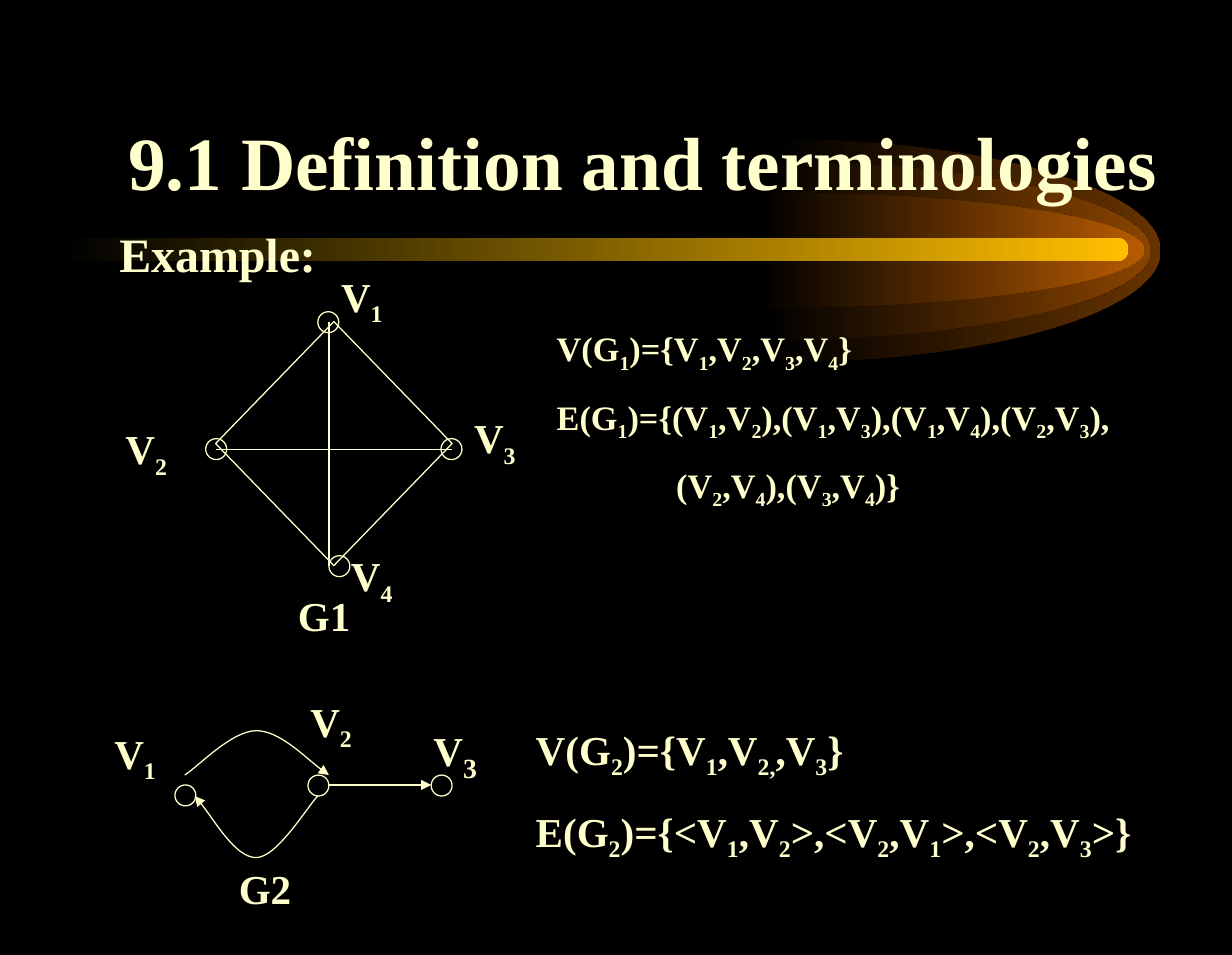
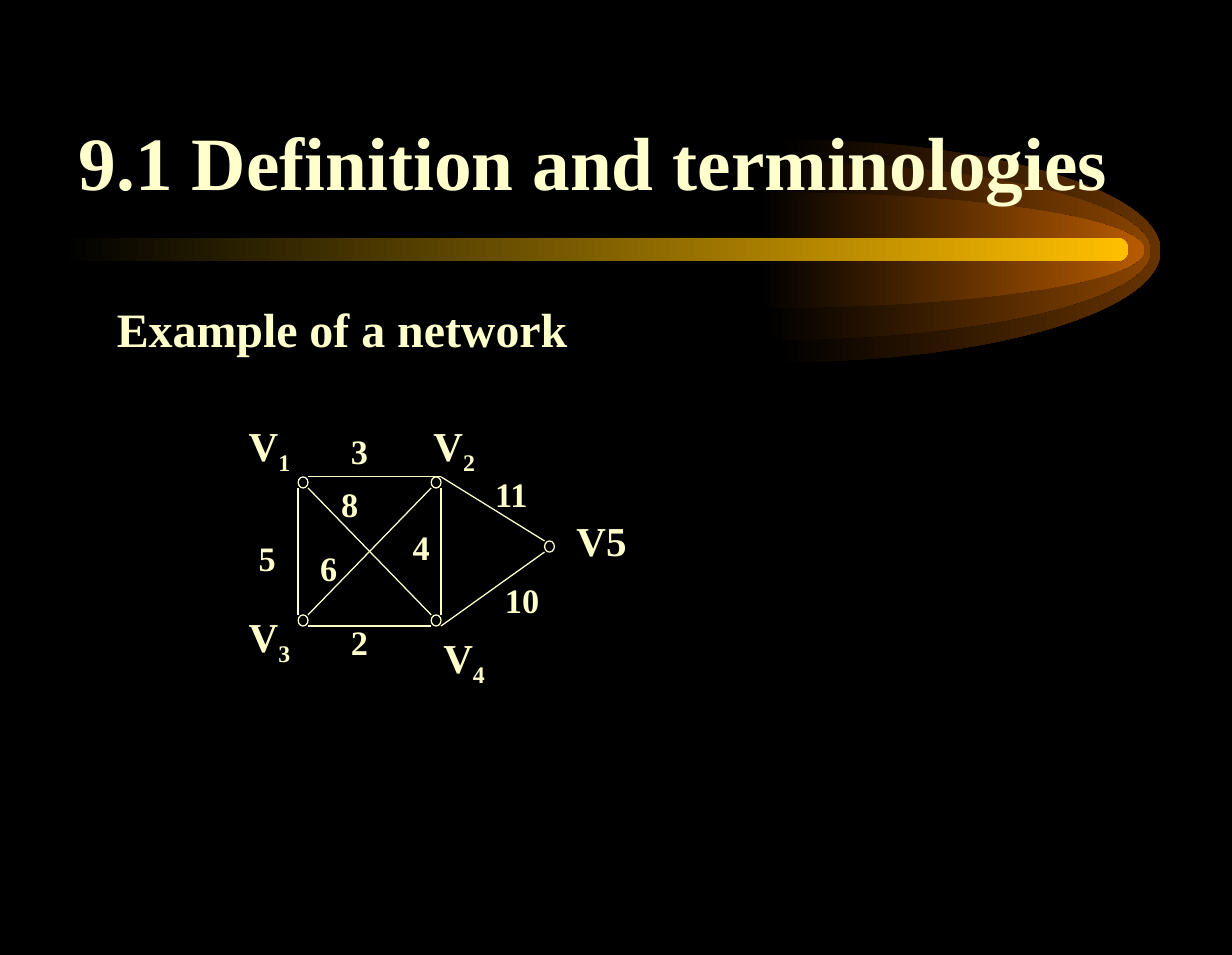
from itertools import product

from lxml.etree import SubElement
from pptx import Presentation
from pptx.dml.color import RGBColor
from pptx.enum.shapes import MSO_CONNECTOR, MSO_SHAPE
from pptx.enum.text import MSO_ANCHOR, MSO_AUTO_SIZE, PP_ALIGN
from pptx.oxml.ns import qn
from pptx.util import Inches, Pt

BLACK, CREAM, GOLD = "000000", "FFFFCC", "FFBF00"
FONT = "Times New Roman"
TITLE = "9.1 Definition and terminologies"

TAIL_LAYERS = [
    (6.29, 1.13, 1.81, "663300"),
    (6.21, 1.31, 1.45, "894400"),
    (6.16, 1.56, 0.94, "B75B00"),
]
TAIL_LENGTH = 3.13
ARC_HANDLE = 0.55
BAND = (0.5, 1.93, 8.66, 0.19)

GRAPHS = {
    "title": (0.75, 8.94),
    "heading": ("Example:", 1.72, 0.12),
    "diamonds": [(1.75, 2.61, 1.92, 1.98)],
    "node_size": (0.17, 0.17),
    "nodes": [(2.58, 2.53), (1.67, 3.56), (3.58, 3.56), (2.67, 4.51),
              (1.42, 6.37), (2.5, 6.29), (3.5, 6.29)],
    "edges": [(2.67, 2.61, 2.67, 4.59), (1.75, 3.65, 3.67, 3.65)],
    "arrows": [(2.67, 6.37, 3.5, 6.37)],
    "curves": [
        [(1.5, 6.29), (1.6, 6.23), (1.88, 5.93), (2.08, 5.93),
         (2.27, 5.93), (2.54, 6.21), (2.67, 6.29)],
        [(2.58, 6.46), (2.5, 6.54), (2.25, 6.96), (2.08, 6.96),
         (1.91, 6.96), (1.69, 6.57), (1.58, 6.46)],
    ],
    "vertices": [("V[2]", 0.92, 3.39, 0.83), ("V[4]", 2.75, 4.42, 1),
                 ("V[3]", 3.75, 3.3, 0.83), ("V[1]", 0.83, 5.86, 0.67),
                 ("V[2]", 2.42, 5.6, 0.58)],
    "unwrapped_vertices": [("V[1]", 2.67, 2.15, 0.54)],
    "large_index_vertices": [("V[3]", 3.42, 5.78, 0.75)],
    "graph_names": [("G1", 2.32, 4.74, 0.63), ("G2", 1.84, 6.96, 0.63)],
    "sets": [
        (4.42, 2.61, 5.25, 1.59, 20, [
            ("V(G[1])={V[1],V[2],V[3],V[4]}", 0),
            ("E(G[1])={(V[1],V[2]),(V[1],V[3]),(V[1],V[4]),(V[2],V[3]),", 0),
            ("(V[2],V[4]),(V[3],V[4])}", 0.97),
        ]),
        (4.25, 5.83, 5.42, 1.22, 24, [
            ("V(G[2])={V[1],V[2,],V[3]}", 0),
            ("E(G[2])={<V[1],V[2]>,<V[2],V[1]>,<V[2],V[3]>}", 0),
        ]),
    ],
}

NETWORK = {
    "title": (0.39, 8.86),
    "heading": ("Example of a network", 2.33, 0.1),
    "node_size": (0.08, 0.09),
    "nodes": [*product((2.42, 3.5), (3.87, 4.99)), (4.42, 4.39)],
    "edges": [
        (2.5, 3.87, 3.58, 3.87), (2.42, 3.96, 2.42, 4.99),
        (3.58, 3.96, 3.58, 4.99), (2.5, 5.08, 3.5, 5.08),
        (2.5, 3.96, 3.5, 4.99), (3.5, 3.96, 2.5, 4.99),
        (3.58, 3.87, 4.42, 4.39), (4.42, 4.48, 3.58, 5.08),
    ],
    "vertices": [("V[1]", 1.92, 3.36, 0.83), ("V[3]", 1.92, 4.91, 0.67),
                 ("V[2]", 3.42, 3.36, 0.75), ("V[4]", 3.5, 5.08, 0.67)],
    "plain_vertices": [("V5", 4.58, 4.13, 0.75)],
    "weights": [("5", 2, 4.31, 0.42), ("2", 2.75, 4.99, 0.58),
                ("3", 2.75, 3.44, 0.5), ("4", 3.25, 4.22, 0.58),
                ("8", 2.67, 3.87, 0.42), ("6", 2.5, 4.39, 0.42),
                ("11", 3.92, 3.79, 0.5), ("10", 4, 4.65, 0.58)],
}

LABEL_STYLES = {
    "vertices": (0.56, 24, 24, True),
    "unwrapped_vertices": (0.56, 24, 24, False),
    "large_index_vertices": (0.63, 24, 28, True),
    "plain_vertices": (0.5, 24, 24, True),
    "graph_names": (0.5, 24, 24, False),
    "weights": (0.43, 20, 20, True),
}


def color(value):
    return RGBColor.from_string(value)


def inches(*values):
    return [Inches(value) for value in values]


def apply(target, values):
    for name, value in values.items():
        setattr(target, name, value)


def add_spans(para, text, size, index_size):
    for position, part in enumerate(text.replace("]", "[").split("[")):
        if not part:
            continue
        is_index = position % 2 == 1
        span = para.add_run()
        span.text = part
        span_size = Pt(index_size if is_index else size)
        apply(span.font, {"name": FONT, "size": span_size, "bold": True})
        span.font.color.rgb = color(CREAM)
        if is_index:
            span._r.get_or_add_rPr().set("baseline", "-25000")


def add_text(page, left, top, width, height, size, lines, index_size=None, wrap=True):
    box = page.shapes.add_textbox(*inches(left, top, width, height))
    frame = box.text_frame
    fit = MSO_AUTO_SIZE.NONE if wrap else MSO_AUTO_SIZE.SHAPE_TO_FIT_TEXT
    apply(frame, {"word_wrap": wrap, "auto_size": fit})
    for number, (text, indent) in enumerate(lines):
        para = frame.add_paragraph() if number else frame.paragraphs[0]
        if number:
            para.space_before = Pt(size * 0.625)
        if indent:
            para._p.get_or_add_pPr().set("marL", str(Inches(indent)))
        add_spans(para, text, size, index_size or size)
    return frame


def style_line(shape, arrow=False):
    shape.line.color.rgb = color(CREAM)
    shape.line.width = Pt(0.75)
    if arrow:
        SubElement(shape.line._get_or_add_ln(), qn("a:tailEnd"), type="triangle")


def add_outline(page, kind, left, top, width, height):
    shape = page.shapes.add_shape(kind, *inches(left, top, width, height))
    shape.shadow.inherit = False
    shape.fill.background()
    style_line(shape)


def add_edge(page, ends, arrow=False):
    edge = page.shapes.add_connector(MSO_CONNECTOR.STRAIGHT, *inches(*ends))
    style_line(edge, arrow)
    SubElement(edge.element.spPr, qn("a:effectLst"))


def add_bezier(page, corners, straight=(), close=False):
    start, *rest = [inches(*point) for point in [*corners, *straight]]
    builder = page.shapes.build_freeform(*start)
    builder.add_line_segments(rest, close=close)
    shape = builder.convert_to_shape()
    shape.shadow.inherit = False
    segments = shape.element.xpath(".//a:lnTo")[:len(corners) - 1]
    for first in range(0, len(segments), 3):
        curve, *others = segments[first:first + 3]
        curve.tag = qn("a:cubicBezTo")
        for segment in others:
            curve.append(segment[0])
            segment.getparent().remove(segment)
    return shape


def add_curved_arrow(page, corners):
    curve = add_bezier(page, corners)
    curve.fill.background()
    style_line(curve, arrow=True)


def add_tail_layer(page, left, top, height):
    right, middle, bottom = left + TAIL_LENGTH, top + height / 2, top + height
    handle_x = left + TAIL_LENGTH * ARC_HANDLE
    handle_y = height / 2 * ARC_HANDLE
    corners = [(left, top), (handle_x, top), (right, middle - handle_y), (right, middle),
               (right, middle + handle_y), (handle_x, bottom), (left, bottom)]
    return add_bezier(page, corners, [(left, middle)], close=True)


def fill_gradient(shape, end):
    shape.fill.gradient()
    shape.fill.gradient_angle = 0
    for stop, position, value in zip(shape.fill.gradient_stops, (0, 1), (BLACK, end)):
        stop.position = position
        stop.color.rgb = color(value)
    shape.line.fill.background()


def add_comet(page, layout):
    parts = [(add_tail_layer(page, *place), end) for *place, end in TAIL_LAYERS]
    band = page.shapes.add_shape(MSO_SHAPE.ROUNDED_RECTANGLE, *inches(*BAND))
    band.adjustments[0] = 0.5
    band.shadow.inherit = False
    parts.append((band, GOLD))
    for number, (shape, end) in enumerate(parts, 20):
        fill_gradient(shape, end)
        shape.element.xpath(".//p:cNvPr")[0].set("id", str(number))
        layout.shapes.element.append(shape.element)


def add_title(page, left, width):
    title = page.shapes.title
    left, top, width, height = inches(left, 0.43, width, 1.29)
    apply(title, {"left": left, "top": top, "width": width, "height": height})
    frame = title.text_frame
    apply(frame, {"word_wrap": True, "auto_size": MSO_AUTO_SIZE.NONE,
                  "vertical_anchor": MSO_ANCHOR.BOTTOM})
    para = frame.paragraphs[0]
    para.alignment = PP_ALIGN.CENTER
    add_spans(para, TITLE, 44, 44)


def fill_page(page, content):
    add_title(page, *content["title"])
    heading, top, indent = content["heading"]
    frame = add_text(page, 0.75, top, 8.5, 4.65, 28, [(heading, indent)])
    frame.margin_top = Inches(0.1)
    for place in content.get("diamonds", []):
        add_outline(page, MSO_SHAPE.DIAMOND, *place)
    for node in content["nodes"]:
        add_outline(page, MSO_SHAPE.OVAL, *node, *content["node_size"])
    for ends in content["edges"]:
        add_edge(page, ends)
    for ends in content.get("arrows", []):
        add_edge(page, ends, arrow=True)
    for corners in content.get("curves", []):
        add_curved_arrow(page, corners)
    for group, (height, size, index_size, wrap) in LABEL_STYLES.items():
        for text, left, top, width in content.get(group, []):
            add_text(page, left, top, width, height, size, [(text, 0)], index_size, wrap)
    for definition in content.get("sets", []):
        add_text(page, *definition)


def main():
    deck = Presentation()
    deck.slide_width, deck.slide_height = inches(10, 7.75)
    layout = deck.slide_layouts[5]
    layout.background.fill.solid()
    layout.background.fill.fore_color.rgb = color(BLACK)
    pages = [deck.slides.add_slide(layout) for _ in range(2)]
    add_comet(pages[0], layout)
    for page, content in zip(pages, (GRAPHS, NETWORK)):
        fill_page(page, content)
    deck.save("out.pptx")


if __name__ == "__main__":
    main()
